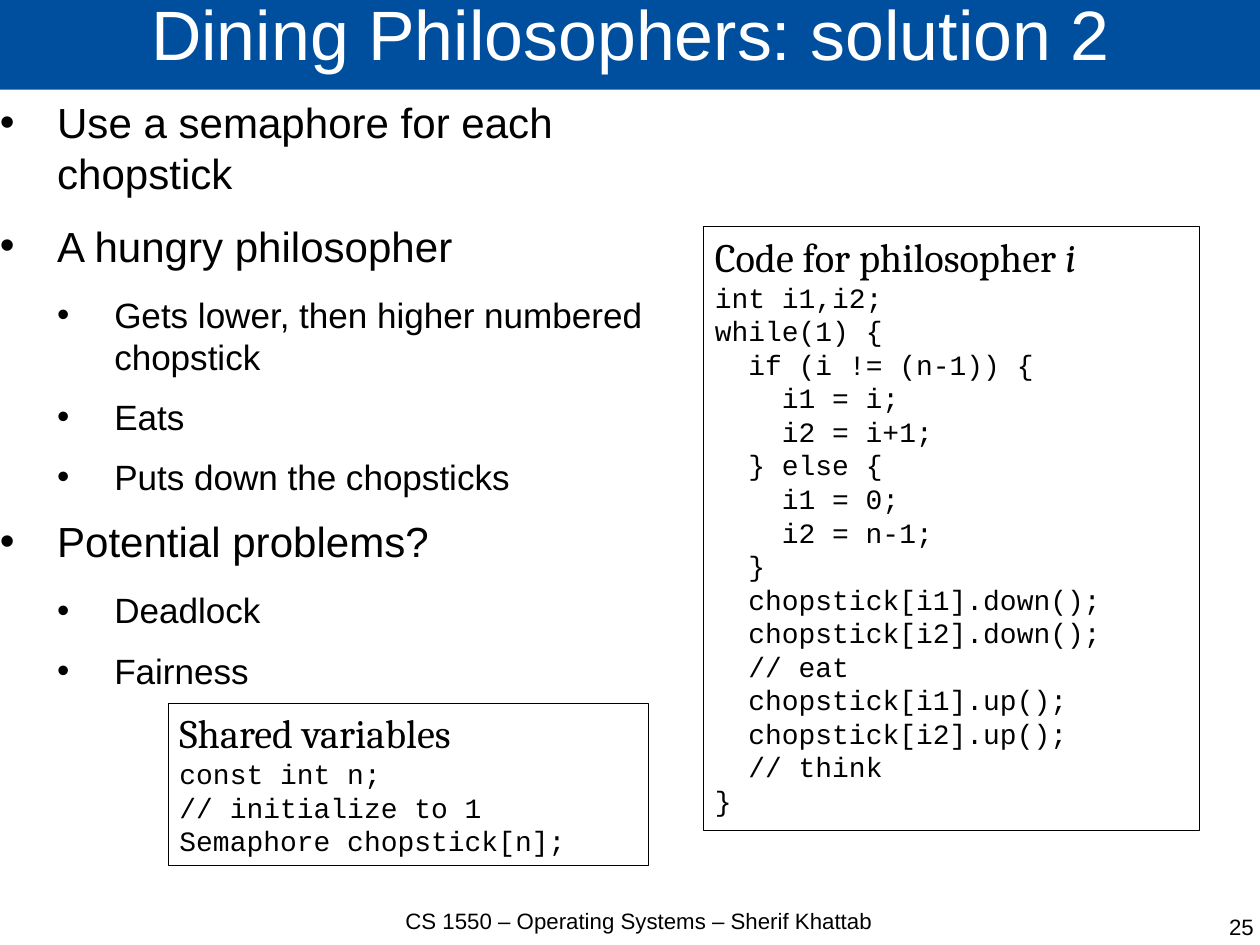
from lxml import etree
from pptx import Presentation
from pptx.dml.color import RGBColor
from pptx.enum import shapes, text
from pptx.oxml import ns
from pptx.util import Pt

BLUE = RGBColor(0x00, 0x4F, 0x9E)
WHITE = RGBColor(0xFF, 0xFF, 0xFF)
BLACK = RGBColor(0x00, 0x00, 0x00)

BULLET_STEP = 36
CODE_SIZE = 17.6
CODE_STEP = 21.12  # two Courier New characters

# (level, text)
BULLETS = [
    (0, "Use a semaphore for each chopstick"),
    (0, "A hungry philosopher"),
    (1, "Gets lower, then higher numbered chopstick"),
    (1, "Eats"),
    (1, "Puts down the chopsticks"),
    (0, "Potential problems?"),
    (1, "Deadlock"),
    (1, "Fairness"),
]
BULLET_STYLES = [(26.5, 14.2), (22.1, 11.4)]  # size, space after

PHILOSOPHER_CODE = [
    (0, "int i1,i2;"),
    (0, "while(1) {"),
    (1, "if (i != (n-1)) {"),
    (2, "i1 = i;"),
    (2, "i2 = i+1;"),
    (1, "} else {"),
    (2, "i1 = 0;"),
    (2, "i2 = n-1;"),
    (1, "}"),
    (1, "chopstick[i1].down();"),
    (1, "chopstick[i2].down();"),
    (1, "// eat"),
    (1, "chopstick[i1].up();"),
    (1, "chopstick[i2].up();"),
    (1, "// think"),
    (0, "}"),
]
SHARED_CODE = [
    (0, "const int n;"),
    (0, "// initialize to 1"),
    (0, "Semaphore chopstick[n];"),
]


def set_font(paragraph, name, size, color=BLACK):
    paragraph.font.name = name
    paragraph.font.size = Pt(size)
    paragraph.font.color.rgb = color


def set_frame(frame, side=0, top=0, anchor=text.MSO_ANCHOR.TOP):
    frame.word_wrap = True
    frame.auto_size = text.MSO_AUTO_SIZE.NONE
    frame.vertical_anchor = anchor
    frame.margin_left = frame.margin_right = Pt(side)
    frame.margin_top = frame.margin_bottom = Pt(top)


def set_indent(paragraph, left, first=0):
    properties = paragraph._p.get_or_add_pPr()
    properties.set("marL", str(Pt(left)))
    properties.set("indent", str(Pt(first)))
    return properties


def add_paragraph(frame, first):
    return frame.paragraphs[0] if first else frame.add_paragraph()


def add_title(slide, words):
    title = slide.shapes.title
    title.left, title.top, title.width, title.height = Pt(0), Pt(-1.5), Pt(795), Pt(58)
    title.fill.solid()
    title.fill.fore_color.rgb = BLUE
    set_frame(title.text_frame, anchor=text.MSO_ANCHOR.MIDDLE)
    paragraph = title.text_frame.paragraphs[0]
    paragraph.text = words
    paragraph.alignment = text.PP_ALIGN.CENTER
    paragraph.line_spacing = 0.69
    set_font(paragraph, "Arial", 44, WHITE)


def add_bullets(slide, bullets, left, top, width, height):
    box = slide.shapes.add_textbox(Pt(left), Pt(top), Pt(width), Pt(height))
    set_frame(box.text_frame)
    for index, (level, words) in enumerate(bullets):
        size, space_after = BULLET_STYLES[level]
        paragraph = add_paragraph(box.text_frame, index == 0)
        paragraph.text = words
        paragraph.level = level
        paragraph.space_after = Pt(space_after)
        set_font(paragraph, "Arial", size)
        properties = set_indent(paragraph, BULLET_STEP * (level + 1), -BULLET_STEP)
        for tag, attributes in (("a:buFont", {"typeface": "Arial"}),
                                ("a:buChar", {"char": "•"})):
            bullet = etree.Element(ns.qn(tag), attributes)
            properties.insert_element_before(bullet, "a:tabLst", "a:defRPr", "a:extLst")


def add_footer(slide, words, alignment, left, top, width, height):
    box = slide.shapes.add_textbox(Pt(left), Pt(top), Pt(width), Pt(height))
    set_frame(box.text_frame)
    paragraph = box.text_frame.paragraphs[0]
    paragraph.text = words
    paragraph.alignment = alignment
    set_font(paragraph, "Arial", 14)


def add_code_box(slide, heading, variable, code, left, top, width, height):
    box = slide.shapes.add_shape(
        shapes.MSO_SHAPE.RECTANGLE, Pt(left), Pt(top), Pt(width), Pt(height))
    box.shadow.inherit = False
    box.fill.background()
    box.line.color.rgb = BLACK
    box.line.width = Pt(0.5)
    frame = box.text_frame
    set_frame(frame, side=7.2, top=3.6)

    paragraph = frame.paragraphs[0]
    paragraph.alignment = text.PP_ALIGN.LEFT
    set_font(paragraph, "Cambria", 25.4)
    paragraph.add_run().text = heading
    if variable:
        run = paragraph.add_run()
        run.text = variable
        run.font.italic = True

    for depth, line in code:
        paragraph = frame.add_paragraph()
        paragraph.text = line
        paragraph.alignment = text.PP_ALIGN.LEFT
        set_font(paragraph, "Courier New", CODE_SIZE)
        set_indent(paragraph, CODE_STEP * depth)


def main():
    presentation = Presentation()
    presentation.slide_width = Pt(793.7)
    presentation.slide_height = Pt(595.28)
    slide = presentation.slides.add_slide(presentation.slide_layouts[5])

    # Title band and main points
    add_title(slide, "Dining Philosophers: solution 2")
    add_bullets(slide, BULLETS, 0, 60.8, 408.2, 512.6)

    # Footer
    add_footer(slide, "CS 1550 – Operating Systems – Sherif Khattab",
               text.PP_ALIGN.CENTER, 221, 571.4, 363, 39.6)
    add_footer(slide, "25", text.PP_ALIGN.RIGHT, 607.7, 575, 182.2, 39.6)

    # Code boxes
    add_code_box(slide, "Code for philosopher ", "i", PHILOSOPHER_CODE,
                 443.2, 142.6, 312.5, 380.2)
    add_code_box(slide, "Shared variables", "", SHARED_CODE,
                 106, 442.8, 302.4, 102.2)

    presentation.save("out.pptx")


if __name__ == "__main__":
    main()
